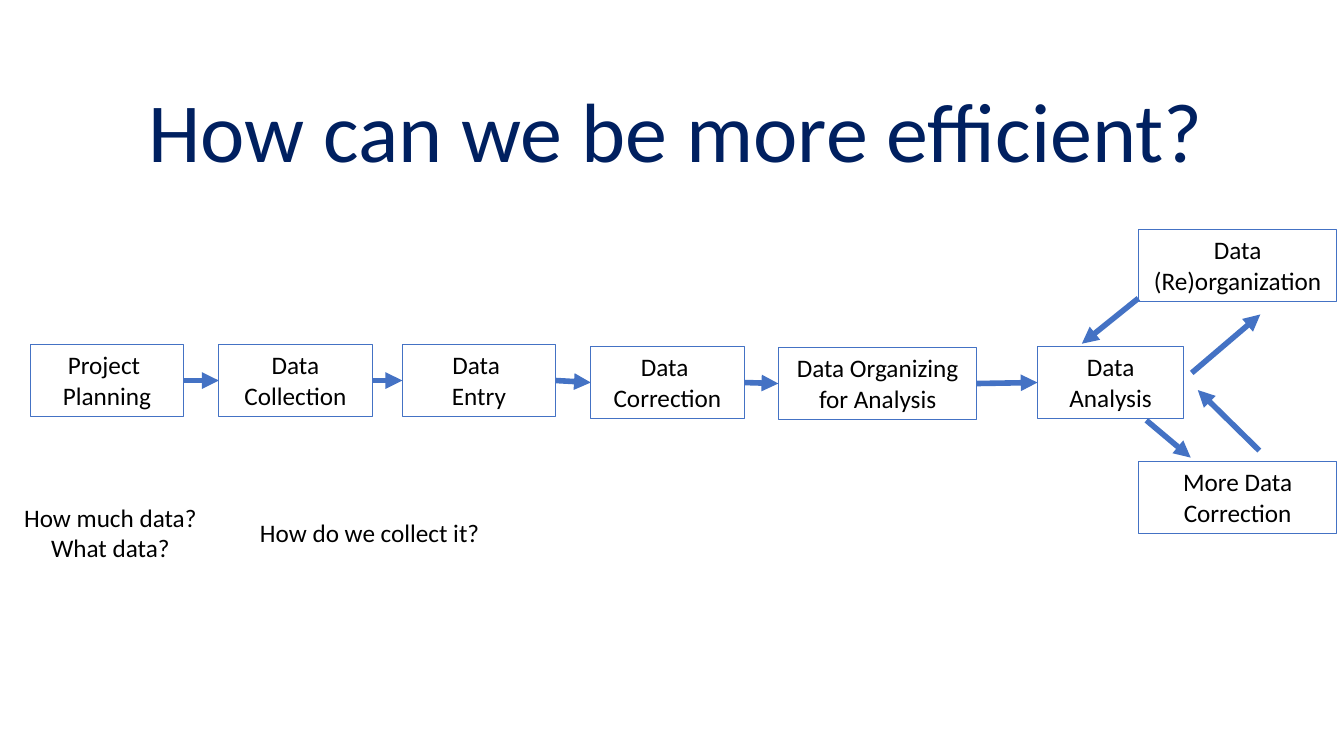
import pptx
import pptx.util
import pptx.dml.color
import pptx.enum.shapes
import pptx.enum.text
import pptx.oxml
import pptx.oxml.ns

Inches = pptx.util.Inches
Pt = pptx.util.Pt
RGBColor = pptx.dml.color.RGBColor
ALIGN = pptx.enum.text.PP_ALIGN
ANCHOR = pptx.enum.text.MSO_ANCHOR

NAVY = RGBColor(0x00, 0x20, 0x60)
BLUE = RGBColor(0x44, 0x72, 0xC4)
BLACK = RGBColor(0x00, 0x00, 0x00)
LEFT_SIDE, RIGHT_SIDE = 1, 3


def write(frame, lines, size, color, align, wrap=True):
    frame.word_wrap = wrap
    frame.auto_size = pptx.enum.text.MSO_AUTO_SIZE.SHAPE_TO_FIT_TEXT
    frame.vertical_anchor = ANCHOR.TOP
    for index, line in enumerate(lines):
        paragraph = frame.add_paragraph() if index else frame.paragraphs[0]
        paragraph.alignment = align
        run = paragraph.add_run()
        run.text = line
        run.font.name = "Calibri"
        run.font.size = Pt(size)
        run.font.color.rgb = color


def add_heading(slide, left, top, width, height):
    title = slide.shapes.title
    title.left, title.top = Inches(left), Inches(top)
    title.width, title.height = Inches(width), Inches(height)
    write(title.text_frame, ["How can we be more efficient?"], 60, NAVY, ALIGN.LEFT)


def add_step(slide, lines, left, top, width, height=0.71):
    step = slide.shapes.add_shape(
        pptx.enum.shapes.MSO_SHAPE.RECTANGLE,
        Inches(left), Inches(top), Inches(width), Inches(height))
    step.shadow.inherit = False
    step.fill.background()
    step.line.color.rgb = BLUE
    step.line.width = Pt(0.75)
    write(step.text_frame, lines, 18, BLACK, ALIGN.CENTER)
    return step


def add_arrow(slide, x1=0, y1=0, x2=0, y2=0):
    arrow = slide.shapes.add_connector(
        pptx.enum.shapes.MSO_CONNECTOR.STRAIGHT,
        Inches(x1), Inches(y1), Inches(x2), Inches(y2))
    arrow.line.color.rgb = BLUE
    arrow.line.width = Pt(4)
    qn = pptx.oxml.ns.qn
    head = arrow.line._get_or_add_ln().makeelement(qn("a:tailEnd"), {"type": "triangle"})
    arrow.line._get_or_add_ln().append(head)
    properties = arrow._element.spPr
    properties.append(properties.makeelement(qn("a:effectLst"), {}))
    return arrow


def add_workflow(slide, left, top):
    stages = [
        (["Project ", "Planning"], 0, 0, 1.52),
        (["Data Collection"], 1.87, 0, 1.52),
        (["Data ", "Entry"], 3.69, 0, 1.52),
        (["Data ", "Correction"], 5.56, 0.02, 1.52),
        (["Data Organizing for Analysis"], 7.42, 0.03, 1.97),
        (["Data Analysis"], 9.99, 0.02, 1.45),
    ]
    steps = [add_step(slide, lines, left + x, top + y, width)
             for lines, x, y, width in stages]
    for current, following in zip(steps, steps[1:]):
        arrow = add_arrow(slide)
        arrow.begin_connect(current, RIGHT_SIDE)
        arrow.end_connect(following, LEFT_SIDE)


def add_rework_loops(slide, left, top):
    add_step(slide, ["Data (Re)organization"], left, top, 1.97)
    add_step(slide, ["More Data Correction"], left, top + 2.3, 1.97)
    for x1, y1, x2, y2 in [
        (0.53, 1.42, 1.21, 0.84),
        (1.2, 2.19, 0.59, 1.59),
        (0.08, 1.89, 0.52, 2.26),
        (0, 0.68, -0.56, 1.13),
    ]:
        add_arrow(slide, left + x1, top + y1, left + x2, top + y2)


def add_question(slide, lines, left, top, width, height, align, wrap):
    question = slide.shapes.add_textbox(
        Inches(left), Inches(top), Inches(width), Inches(height))
    write(question.text_frame, lines, 18, BLACK, align, wrap)


def main():
    deck = pptx.Presentation()
    deck.slide_width, deck.slide_height = Inches(13.33), Inches(7.5)
    slide = deck.slides.add_slide(deck.slide_layouts[5])
    add_heading(slide, 1.37, 0.73, 11.39, 1.11)
    add_workflow(slide, 0.3, 3.42)
    add_rework_loops(slide, 11.29, 2.28)
    add_question(slide, ["How much data?", "What data?"],
                 0.03, 4.93, 2.13, 0.71, ALIGN.CENTER, True)
    add_question(slide, ["How do we collect it?"],
                 2.48, 5.08, 2.41, 0.4, ALIGN.LEFT, False)
    deck.save("out.pptx")


if __name__ == "__main__":
    main()
